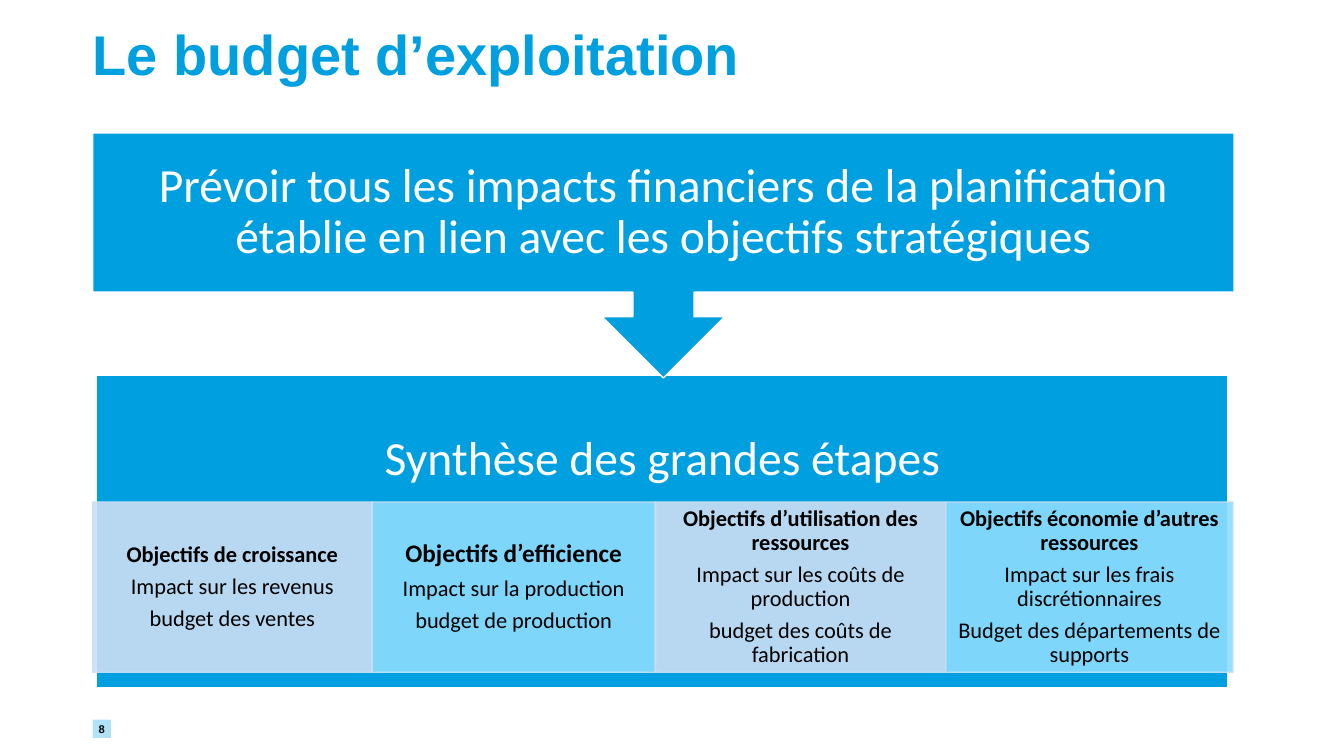
"""Build the operating budget slide: a goal leading to four groups of steps."""
from lxml import etree
from pptx import Presentation
from pptx.dml.color import RGBColor
from pptx.enum.shapes import MSO_SHAPE
from pptx.enum.text import MSO_ANCHOR, PP_ALIGN
from pptx.oxml.ns import qn
from pptx.util import Inches, Pt

RECTANGLE = MSO_SHAPE.RECTANGLE
CALLOUT = MSO_SHAPE.DOWN_ARROW_CALLOUT
TOP, MIDDLE = MSO_ANCHOR.TOP, MSO_ANCHOR.MIDDLE
LEFT, CENTER = PP_ALIGN.LEFT, PP_ALIGN.CENTER

COLORS = {
    "blue": "009FDF",
    "sky": "8CDEFF",
    "pale": "CCDFF3",
    "badge": "3CB5E6",
    "white": "FFFFFF",
    "black": "000000",
}
MARGIN = 0.92
COLUMN_TOP, COLUMN_HEIGHT = 4.98, 1.69
COLUMNS = [
    (2.77, "pale", 16, 0.12, ["Objectifs de croissance",
                              "Impact sur les revenus",
                              "budget des ventes"]),
    (2.81, "sky", 18, 0.14, ["Objectifs d’efficience",
                             "Impact sur la production",
                             "budget de production"]),
    (2.88, "pale", 16, 0.12, ["Objectifs d’utilisation des ressources",
                              "Impact sur les coûts de production",
                              "budget des coûts de fabrication"]),
    (2.85, "sky", 16, 0.12, ["Objectifs économie d’autres ressources",
                             "Impact sur les frais discrétionnaires",
                             "Budget des départements de supports"]),
]


def add_box(kind, bounds, fill, line=None, opacity=100):
    shape = slide.shapes.add_shape(kind, *[Inches(value) for value in bounds])
    shape.shadow.inherit = False
    shape.fill.solid()
    shape.fill.fore_color.rgb = RGBColor.from_string(COLORS[fill])
    if line:
        shape.line.color.rgb = RGBColor.from_string(COLORS[line])
        shape.line.width = Pt(1)
    else:
        shape.line.fill.background()
    if opacity < 100:
        for color in shape._element.spPr.iter(qn("a:srgbClr")):
            etree.SubElement(color, qn("a:alpha")).set("val", str(opacity * 1000))
    return shape


def write_text(shape, lines, insets, color, font="Calibri", anchor=MIDDLE,
               align=CENTER, spacing=0.9, after=None):
    frame = shape.text_frame
    frame.word_wrap = True
    frame.vertical_anchor = anchor
    for side, inset in zip(("left", "top", "right", "bottom"), insets):
        setattr(frame, f"margin_{side}", Inches(inset))
    for index, (text, size, bold) in enumerate(lines):
        paragraph = frame.add_paragraph() if index else frame.paragraphs[0]
        paragraph.text = text
        paragraph_format = {
            "alignment": align,
            "line_spacing": spacing,
            "space_after": Pt(after or size * 0.35),
        }
        for name, value in paragraph_format.items():
            setattr(paragraph, name, value)
        for name, value in {"name": font, "size": Pt(size), "bold": bold}.items():
            setattr(paragraph.font, name, value)
        paragraph.font.color.rgb = RGBColor.from_string(COLORS[color])


presentation = Presentation()
presentation.slide_width, presentation.slide_height = Inches(13.33), Inches(7.5)
slide = presentation.slides.add_slide(presentation.slide_layouts[6])

badge = add_box(RECTANGLE, (MARGIN, 7.14, 0.18, 0.18), "badge", opacity=40)
write_text(badge, [("8", 8, True)], [0] * 4, "black", "Arial", spacing=1.0, after=6)

title = slide.shapes.add_textbox(Inches(MARGIN), Inches(0.53), Inches(11.5), Inches(0.47))
write_text(title, [("Le budget d’exploitation", 40, True)], [0] * 4, "blue", "Arial",
           anchor=TOP, align=LEFT, spacing=Pt(24), after=8)

summary = add_box(RECTANGLE, (0.96, 3.72, 11.22, 3.1), "blue", "white")
write_text(summary, [("Synthèse des grandes étapes", 34, False)],
           (0.26, 0.26, 0.26, 1.68), "white")

column_left = MARGIN
for width, fill, heading_size, inset, (heading, *details) in COLUMNS:
    column = add_box(RECTANGLE, (column_left, COLUMN_TOP, width, COLUMN_HEIGHT),
                     fill, "pale", 90)
    lines = [(heading, heading_size, True)] + [(detail, 16, False) for detail in details]
    write_text(column, lines, (inset, 0.02, inset, 0.02), "black")
    column_left += width

goal = add_box(CALLOUT, (MARGIN, 1.32, 11.32, 2.43), "blue", "white")
write_text(goal, [("Prévoir tous les impacts financiers de la planification "
                   "établie en lien avec les objectifs stratégiques", 34, False)],
           [0.26] * 4, "white")

presentation.save("out.pptx")
